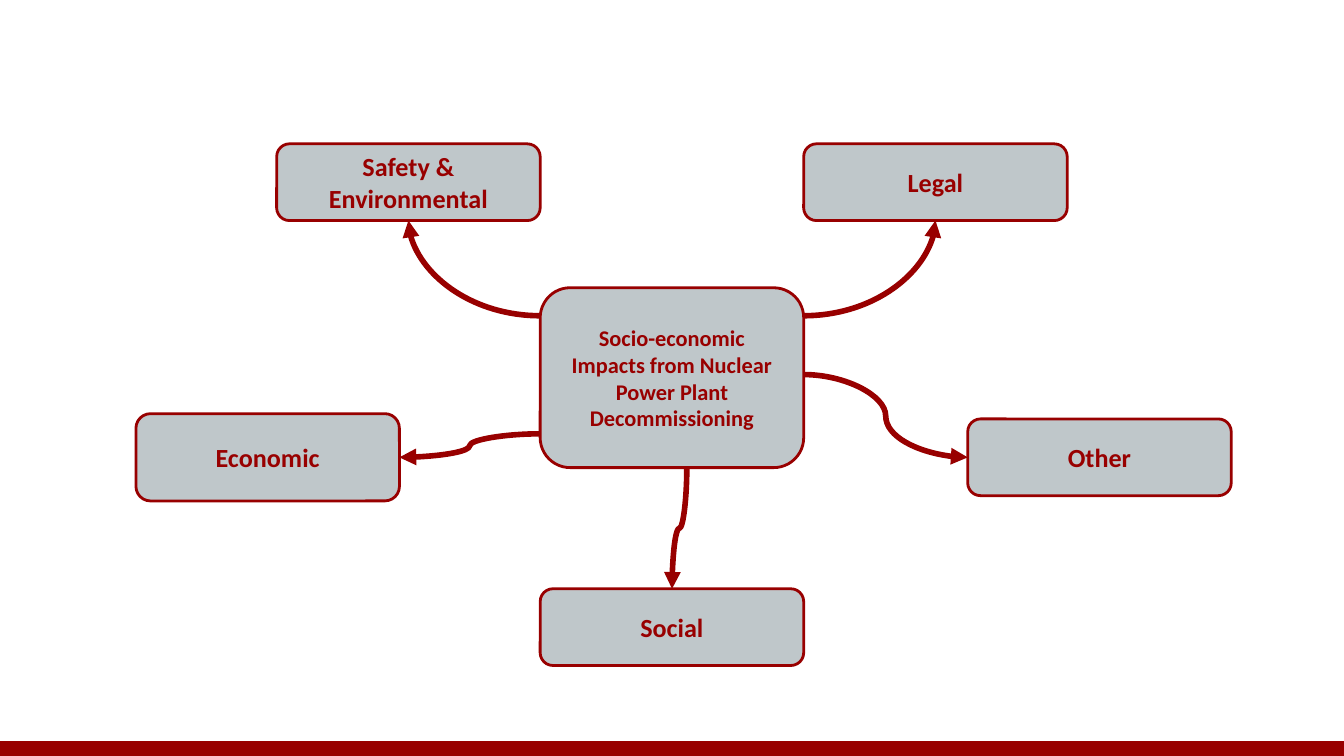
import lxml.etree
import pptx
import pptx.dml.color
import pptx.enum.shapes
import pptx.enum.text
import pptx.oxml.ns
import pptx.util

Cm = pptx.util.Cm
Pt = pptx.util.Pt
qn = pptx.oxml.ns.qn
KINDS = pptx.enum.shapes.MSO_SHAPE

THEME = {
    "red": pptx.dml.color.RGBColor.from_string("980000"),
    "grey": pptx.dml.color.RGBColor.from_string("BFC7CA"),
    "font": "Calibri",
    "hub": 12,
    "topic": 14,
    "edge": 1.5,
    "arrow": 3,
}
SIZE = (25.4, 14.29)
BAR = 0.28
WIDTH = 4.98
INSET = 0.25

# left, top, height in cm
HUB = ("Socio-economic Impacts from Nuclear Power Plant Decommissioning",
       10.21, 5.44, 3.4)
TOPICS = [
    ("Other", 18.29, 7.92, 1.45),
    ("Social", 10.21, 11.13, 1.45),
    ("Economic", 2.57, 7.82, 1.65),
    ("Legal", 15.19, 2.72, 1.45),
    ("Safety & Environmental", 5.23, 2.72, 1.45),
]
# topic, side of the hub, offset along that side, side of the topic, curve
ARROWS = [
    ("Legal", "right", 0.53, "bottom", "bend"),
    ("Social", "bottom", 2.77, "top", "down"),
    ("Other", "right", 1.64, "left", "across"),
    ("Economic", "left", 2.76, "right", "across"),
    ("Safety & Environmental", "left", 0.53, "bottom", "bend"),
]


def add_box(slide, item, size):
    text, left, top, height = item
    box = slide.shapes.add_shape(KINDS.ROUNDED_RECTANGLE, Cm(left), Cm(top),
                                 Cm(WIDTH), Cm(height))
    box.shadow.inherit = False
    box.fill.solid()
    box.fill.fore_color.rgb = THEME["grey"]
    box.line.color.rgb = THEME["red"]
    box.line.width = Pt(THEME["edge"])
    frame = box.text_frame
    frame.word_wrap = True
    frame.vertical_anchor = pptx.enum.text.MSO_ANCHOR.MIDDLE
    frame.margin_left = frame.margin_right = Cm(INSET)
    frame.margin_top = frame.margin_bottom = Cm(INSET)
    frame.text = text
    line = frame.paragraphs[0]
    line.alignment = pptx.enum.text.PP_ALIGN.CENTER
    line.font.name = THEME["font"]
    line.font.size = Pt(size)
    line.font.bold = True
    line.font.color.rgb = THEME["red"]


def side_point(item, side, offset=None):
    """Point on a side of a box: its middle, unless an offset is given."""
    _, left, top, height = item
    if side in ("left", "right"):
        down = height / 2 if offset is None else offset
        return left + (WIDTH if side == "right" else 0), top + down
    along = WIDTH / 2 if offset is None else offset
    return left + along, top + (height if side == "bottom" else 0)


def add_arrow(slide, start, end, curve):
    """Curved arrow; "down" is an "across" curve turned by 90 degrees."""
    (x1, y1), (x2, y2) = start, end
    if curve == "down":
        mid_x, mid_y = (x1 + x2) / 2, (y1 + y2) / 2
        half_w, half_h = (y2 - y1) / 2, (x1 - x2) / 2
        x1, x2 = mid_x - half_w, mid_x + half_w
        y1, y2 = mid_y - half_h, mid_y + half_h
    arrow = slide.shapes.add_connector(pptx.enum.shapes.MSO_CONNECTOR.CURVE,
                                       Cm(x1), Cm(y1), Cm(x2), Cm(y2))
    arrow.line.color.rgb = THEME["red"]
    arrow.line.width = Pt(THEME["arrow"])
    props = arrow._element.spPr
    if curve == "down":
        props.find(qn("a:xfrm")).set("rot", str(90 * 60000))
    if curve == "bend":
        props.find(qn("a:prstGeom")).set("prst", "curvedConnector2")
    lxml.etree.SubElement(props.find(qn("a:ln")), qn("a:tailEnd"),
                          type="triangle", w="med", len="med")
    lxml.etree.SubElement(props, qn("a:effectLst"))


def main():
    deck = pptx.Presentation()
    deck.slide_width, deck.slide_height = map(Cm, SIZE)
    slide = deck.slides.add_slide(deck.slide_layouts[6])

    bar = slide.shapes.add_shape(KINDS.RECTANGLE, 0, Cm(SIZE[1] - BAR),
                                 Cm(SIZE[0]), Cm(BAR))
    bar.shadow.inherit = False
    bar.fill.solid()
    bar.fill.fore_color.rgb = THEME["red"]
    bar.line.fill.background()

    add_box(slide, HUB, THEME["hub"])
    for item in TOPICS:
        add_box(slide, item, THEME["topic"])

    topics = {item[0]: item for item in TOPICS}
    for name, side, offset, target, curve in ARROWS:
        add_arrow(slide, side_point(HUB, side, offset),
                  side_point(topics[name], target), curve)
    deck.save("out.pptx")


if __name__ == "__main__":
    main()
